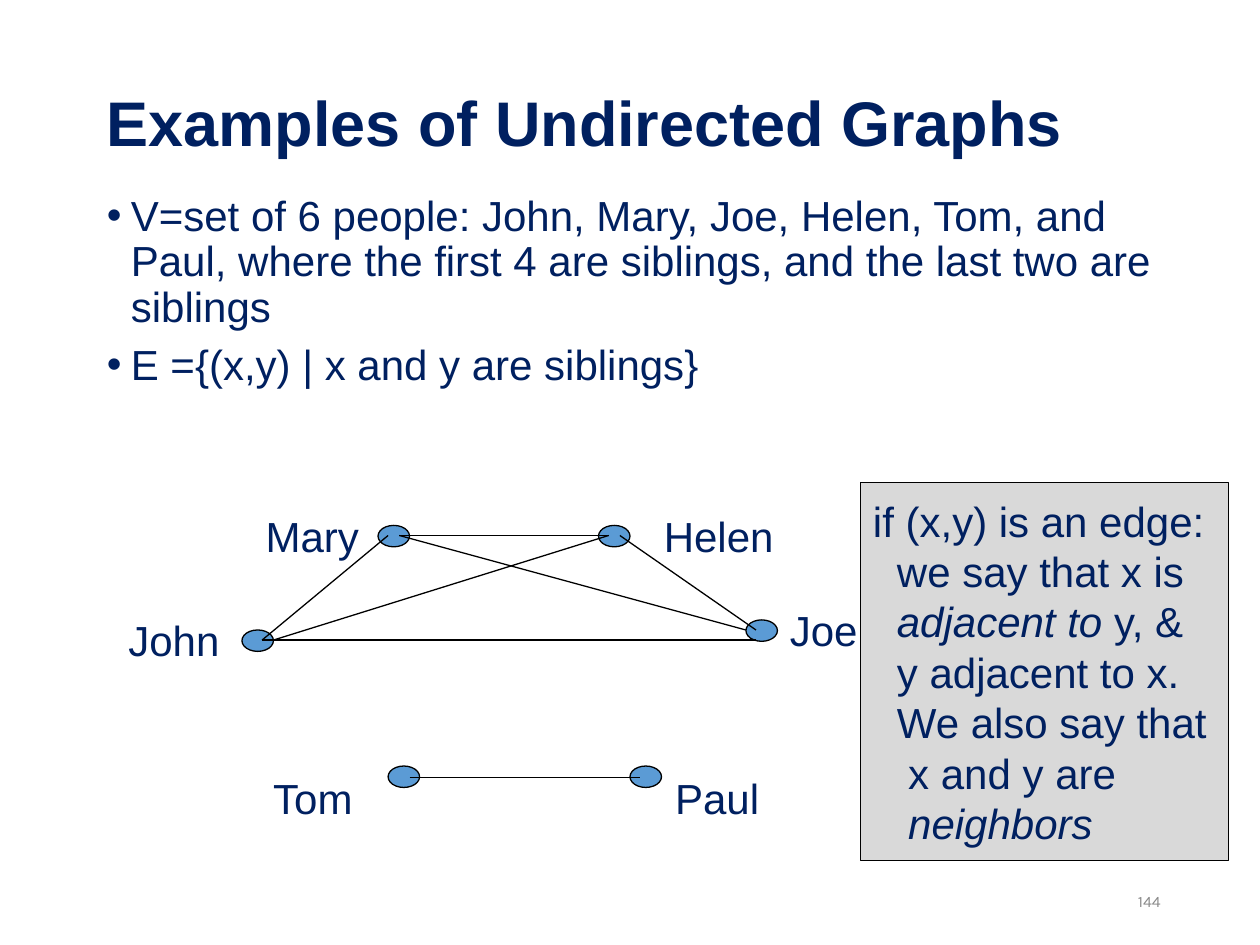
from dataclasses import dataclass

import pptx
import pptx.dml.color
import pptx.enum.shapes
import pptx.enum.text
import pptx.oxml
import pptx.oxml.ns
import pptx.util
from pptx.util import Inches

COLORS = {"navy": "002060", "node": "5B9BD5", "line": "000000",
          "note": "D9D9D9", "number": "898989", "page": "FFFFFF"}
NODE_WIDTH, NODE_HEIGHT = 0.25, 0.17
ALIGN = pptx.enum.text.PP_ALIGN
ANCHOR = pptx.enum.text.MSO_ANCHOR


@dataclass
class Person:
    name: str
    node: tuple[float, float]
    label: tuple[float, float]
    label_width: float


@dataclass
class Edge:
    start: tuple[float, float]
    end: tuple[float, float]


@dataclass
class NoteLine:
    indent: float
    spans: list[tuple[str, bool]]  # text, italic


PEOPLE = [
    Person("John", (1.92, 5), (0.92, 4.83), 0.92),
    Person("Joe", (5.92, 4.92), (6.17, 4.75), 0.74),
    Person("Mary", (3, 4.17), (2.01, 4), 0.94),
    Person("Helen", (4.75, 4.17), (5.17, 4), 1.07),
    Person("Tom", (3.08, 6.08), (2.07, 6.08), 0.86),
    Person("Paul", (5, 6.08), (5.26, 6.08), 0.88),
]
EDGES = [
    Edge((3.17, 4.25), (4.83, 4.25)),  # Mary - Helen
    Edge((2.08, 5.08), (6, 5.08)),     # John - Joe
    Edge((2.08, 5.08), (3.08, 4.25)),  # John - Mary
    Edge((4.92, 4.25), (6, 5)),        # Helen - Joe
    Edge((3.25, 6.17), (5.08, 6.17)),  # Tom - Paul
    Edge((2.17, 5.08), (4.83, 4.25)),  # John - Helen
    Edge((3.17, 4.25), (5.92, 5)),     # Mary - Joe
]
BULLETS = [
    "V=set of 6 people: John, Mary, Joe, Helen, Tom, and Paul, "
    "where the first 4 are siblings, and the last two are siblings",
    "E ={(x,y) | x and y are siblings}",
]
NOTE = [
    NoteLine(0, [("if (x,y) is an edge:", False)]),
    NoteLine(0.19, [("we say that x is", False)]),
    NoteLine(0.19, [("adjacent to", True), (" y, &", False)]),
    NoteLine(0.19, [("y adjacent to x.", False)]),
    NoteLine(0.19, [("We also say that", False)]),
    NoteLine(0.28, [("x and y are", False)]),
    NoteLine(0.28, [("neighbors", True)]),
]


def rgb(name: str) -> pptx.dml.color.RGBColor:
    return pptx.dml.color.RGBColor.from_string(COLORS[name])


def style(span, size: float = 24, color: str = "navy", face: str = "Arial",
          bold: bool = False, italic: bool = False) -> None:
    font = span.font
    font.size, font.name = pptx.util.Pt(size), face
    font.bold, font.italic = bold, italic
    font.color.rgb = rgb(color)


def add_text(page, text: str, left: float, top: float, width: float,
             height: float, wrap: bool = True, anchor=ANCHOR.TOP, **font):
    box = page.shapes.add_textbox(Inches(left), Inches(top),
                                  Inches(width), Inches(height))
    frame = box.text_frame
    frame.text = text
    frame.word_wrap = wrap
    if not wrap:
        frame.auto_size = pptx.enum.text.MSO_AUTO_SIZE.SHAPE_TO_FIT_TEXT
    frame.vertical_anchor = anchor
    for para in frame.paragraphs:
        for span in para.runs:
            style(span, **font)
    return frame


def add_outlined(page, kind, left: float, top: float, width: float,
                 height: float, fill: str):
    shape = page.shapes.add_shape(kind, Inches(left), Inches(top),
                                  Inches(width), Inches(height))
    shape.shadow.inherit = False
    shape.fill.solid()
    shape.fill.fore_color.rgb = rgb(fill)
    shape.line.color.rgb = rgb("line")
    shape.line.width = pptx.util.Pt(0.75)
    return shape


def set_indent(para, left: float, first: float = 0) -> None:
    properties = para._p.get_or_add_pPr()
    properties.set("marL", str(Inches(left)))
    properties.set("indent", str(Inches(first)))


def add_bullet(para) -> None:
    set_indent(para, 0.19, -0.19)
    namespace = pptx.oxml.ns.nsdecls("a")
    for xml in (
        f'<a:buClr {namespace}><a:srgbClr val="{COLORS["navy"]}"/></a:buClr>',
        f'<a:buFont {namespace} typeface="Arial"/>',
        f'<a:buChar {namespace} char="•"/>',
    ):
        para._p.get_or_add_pPr().append(pptx.oxml.parse_xml(xml))


def add_edge(page, edge: Edge) -> None:
    line = page.shapes.add_connector(
        pptx.enum.shapes.MSO_CONNECTOR.STRAIGHT,
        *[Inches(value) for value in edge.start + edge.end])
    line.line.color.rgb = rgb("line")
    line.line.width = pptx.util.Pt(0.75)
    line._element.spPr.append(pptx.oxml.parse_xml(
        f'<a:effectLst {pptx.oxml.ns.nsdecls("a")}/>'))


def add_note(page) -> None:
    box = add_outlined(page, pptx.enum.shapes.MSO_SHAPE.RECTANGLE,
                       6.83, 3.83, 2.92, 3, "note")
    frame = box.text_frame
    frame.word_wrap = True
    frame.vertical_anchor = ANCHOR.MIDDLE
    for index, line in enumerate(NOTE):
        para = frame.add_paragraph() if index else frame.paragraphs[0]
        para.alignment = ALIGN.LEFT
        set_indent(para, line.indent)
        for text, italic in line.spans:
            span = para.add_run()
            span.text = text
            style(span, italic=italic)


def main() -> None:
    deck = pptx.Presentation()
    deck.slide_width, deck.slide_height = Inches(10), Inches(7.5)
    page = deck.slides.add_slide(deck.slide_layouts[6])
    page.background.fill.solid()
    page.background.fill.fore_color.rgb = rgb("page")

    # Page number, title and bullets
    number = add_text(page, "144", 7.06, 6.95, 2.25, 0.4, anchor=ANCHOR.MIDDLE,
                      size=9, face="Karla", color="number")
    number.paragraphs[0].alignment = ALIGN.RIGHT
    title = add_text(page, "Examples of Undirected Graphs", 0.75, 0.67, 8.5,
                     0.67, anchor=ANCHOR.MIDDLE, size=36, bold=True)
    title.paragraphs[0].line_spacing = 0.9
    body = add_text(page, "\n".join(BULLETS), 0.75, 1.5, 8.75, 5.17)
    for index, para in enumerate(body.paragraphs):
        para.line_spacing = 0.9
        if index:
            para.space_before = pptx.util.Pt(7.5)
        add_bullet(para)

    # Sibling graph: nodes, names, edges
    for person in PEOPLE:
        add_outlined(page, pptx.enum.shapes.MSO_SHAPE.OVAL, *person.node,
                     NODE_WIDTH, NODE_HEIGHT, "node")
        add_text(page, person.name, *person.label, person.label_width, 0.5,
                 wrap=False)
    for edge in EDGES:
        add_edge(page, edge)

    # Definition of adjacency
    add_note(page)
    deck.save("out.pptx")


if __name__ == "__main__":
    main()
